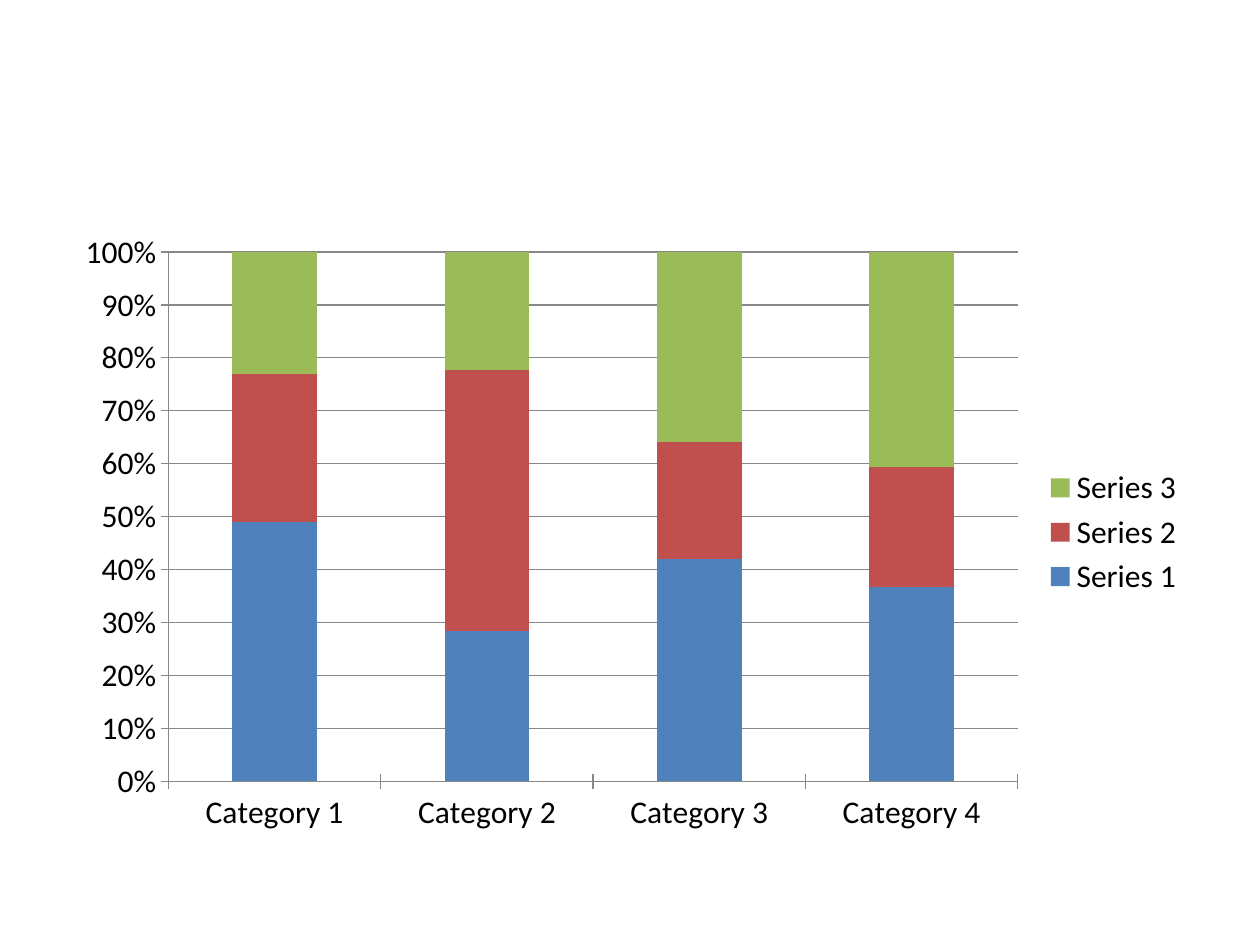
from dataclasses import dataclass

from pptx import Presentation
from pptx.chart.axis import _BaseAxis
from pptx.chart.chart import Chart
from pptx.chart.data import CategoryChartData
from pptx.dml.color import RGBColor
from pptx.enum.chart import XL_CHART_TYPE, XL_LEGEND_POSITION, XL_TICK_MARK
from pptx.util import Emu, Pt

PX = 9144  # 100 px to the inch
BLACK = RGBColor(0x00, 0x00, 0x00)
GREY = RGBColor(0x87, 0x87, 0x87)
BLUE = RGBColor(0x4F, 0x81, 0xBD)
RED = RGBColor(0xC0, 0x50, 0x4D)
GREEN = RGBColor(0x9B, 0xBB, 0x59)


@dataclass(frozen=True)
class Share:
    name: str
    values: tuple[int, ...]
    color: RGBColor


CATEGORIES = [f"Category {number}" for number in range(1, 5)]
SHARES = [
    Share("Series 1", (49, 28, 42, 37), BLUE),
    Share("Series 2", (28, 49, 22, 23), RED),
    Share("Series 3", (23, 22, 36, 41), GREEN),
]


def px(length: int) -> Emu:
    return Emu(length * PX)


def style_axis(axis: _BaseAxis) -> None:
    axis.major_tick_mark = XL_TICK_MARK.CROSS
    axis.format.line.color.rgb = GREY
    axis.format.line.width = Pt(0.75)


def style_chart(chart: Chart) -> None:
    # Text and legend
    chart.has_title = False
    chart.font.name = "Calibri"
    chart.font.size = Pt(18)
    chart.font.color.rgb = BLACK
    chart.has_legend = True
    chart.legend.position = XL_LEGEND_POSITION.RIGHT
    chart.legend.include_in_layout = False

    # Axes and gridlines
    style_axis(chart.category_axis)
    percent_axis = chart.value_axis
    style_axis(percent_axis)
    percent_axis.tick_labels.number_format = "0%"
    percent_axis.tick_labels.number_format_is_linked = False
    percent_axis.has_major_gridlines = True
    percent_axis.major_gridlines.format.line.color.rgb = GREY
    percent_axis.major_gridlines.format.line.width = Pt(0.75)

    # Stacked columns
    columns = chart.plots[0]
    columns.vary_by_categories = False
    columns.gap_width = 150
    columns.overlap = 100
    for series, share in zip(columns.series, SHARES):
        series.format.fill.solid()
        series.format.fill.fore_color.rgb = share.color


def main() -> None:
    deck = Presentation()
    deck.slide_width, deck.slide_height = px(1000), px(750)
    slide = deck.slides.add_slide(deck.slide_layouts[6])

    # Chart data
    chart_data = CategoryChartData()
    chart_data.categories = CATEGORIES
    for share in SHARES:
        chart_data.add_series(share.name, share.values)

    frame = slide.shapes.add_chart(
        XL_CHART_TYPE.COLUMN_STACKED_100,
        px(50), px(175), px(900), px(495), chart_data,
    )
    style_chart(frame.chart)
    deck.save("out.pptx")


if __name__ == "__main__":
    main()
